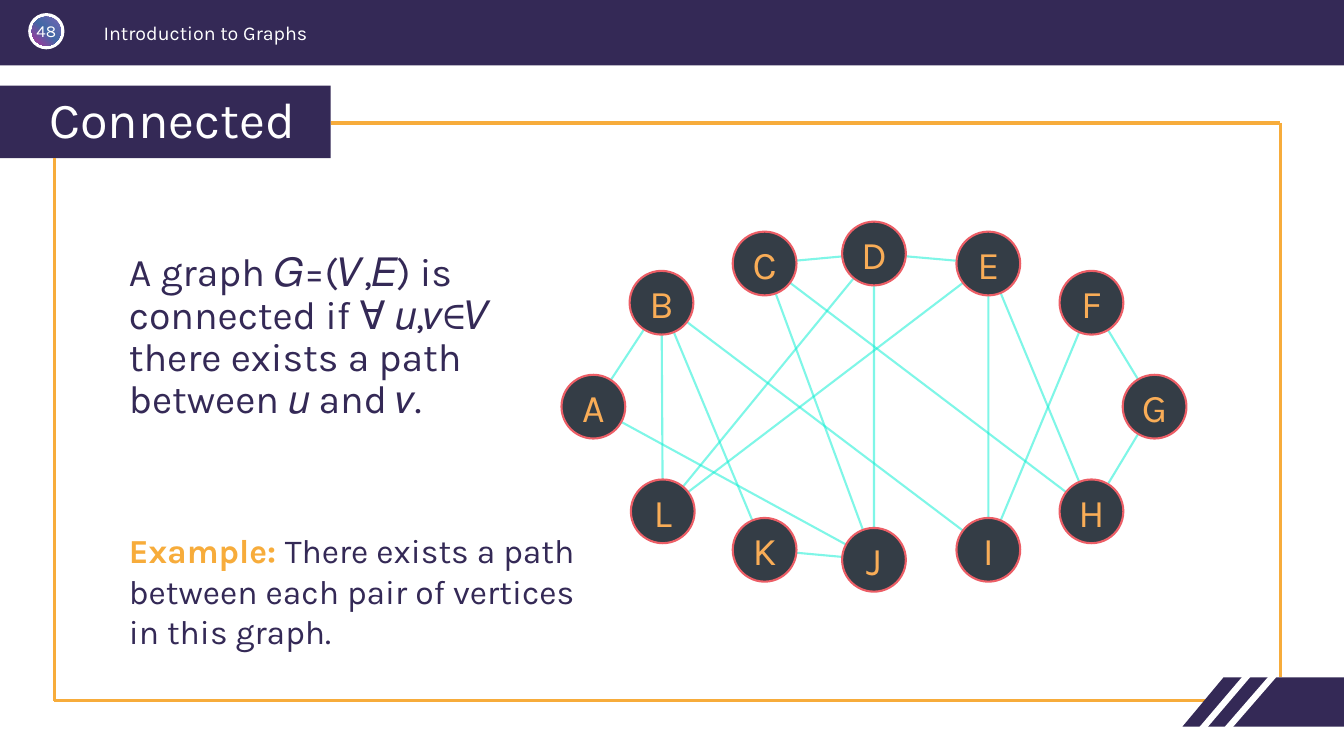
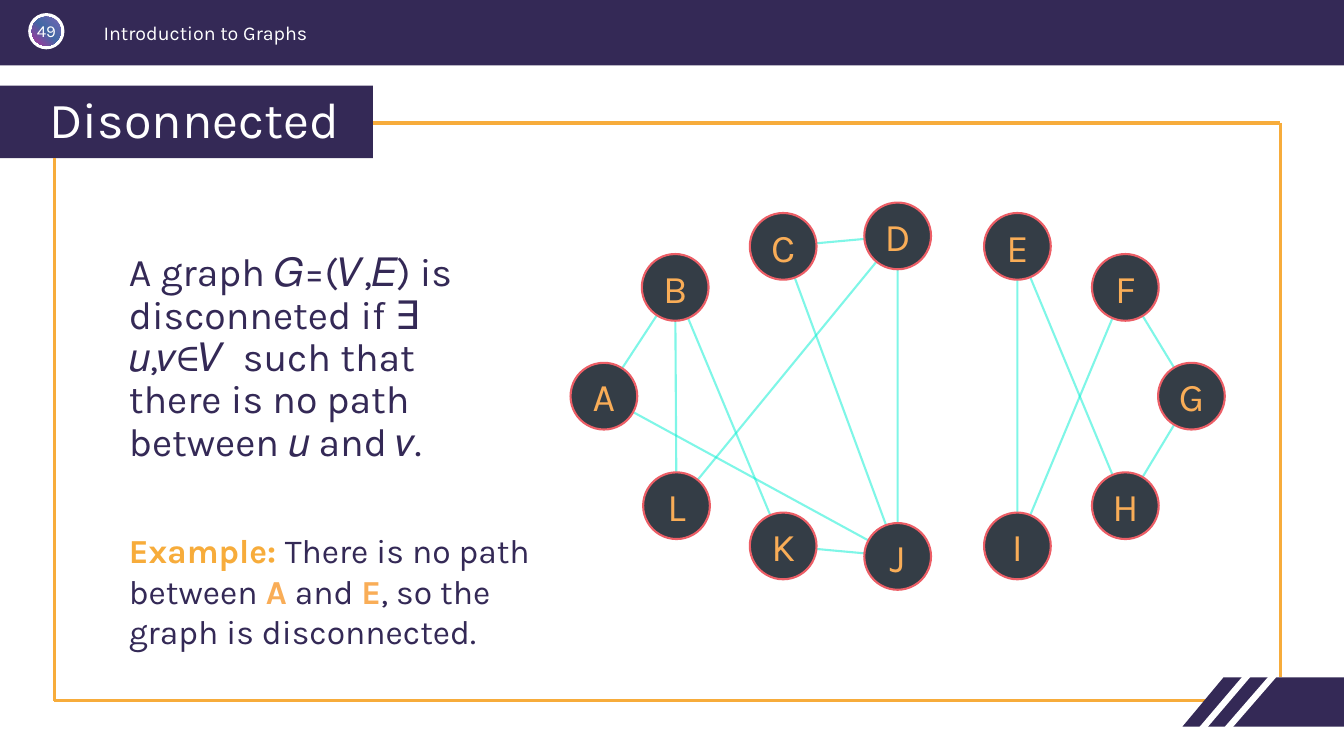
from dataclasses import dataclass

from lxml import etree
from pptx import Presentation
from pptx.dml.color import RGBColor
from pptx.enum.shapes import MSO_CONNECTOR, MSO_SHAPE
from pptx.enum.text import MSO_ANCHOR, MSO_AUTO_SIZE, PP_ALIGN
from pptx.oxml import parse_xml
from pptx.oxml.ns import nsdecls, qn
from pptx.util import Inches, Pt

STRAIGHT = MSO_CONNECTOR.STRAIGHT
RECTANGLE, OVAL = MSO_SHAPE.RECTANGLE, MSO_SHAPE.OVAL
MIDDLE, TOP = MSO_ANCHOR.MIDDLE, MSO_ANCHOR.TOP
LEFT, CENTER = PP_ALIGN.LEFT, PP_ALIGN.CENTER
NO_AUTOFIT = MSO_AUTO_SIZE.NONE
TITLE_ONLY = 5

FONT = "Karla"
NAVY, WHITE, ORANGE = "342956", "FFFFFF", "F7AC3B"
NODE_FILL, NODE_LINE, NODE_TEXT, EDGE = "343D46", "EC5E66", "F9AD57", "00EFD1"
BADGE_STOPS = [(0, "7864B5"), (49, "4269A5"), (100, "B2329A")]

# Node centres, in percent of the graph's box
NODES = {
    "A": (5.1, 50), "B": (16, 21.9), "C": (32.5, 11.3), "D": (50, 8.6),
    "E": (68.3, 11.3), "F": (84.8, 21.9), "G": (94.9, 50), "H": (84.8, 78.3),
    "I": (68.3, 88.7), "J": (50, 91.4), "K": (32.5, 88.7), "L": (16.2, 78.3),
}
NODE_SIZE = 10.2  # percent of the graph's width
SPLIT_EDGES = "AB AJ BK BL CD CJ DJ DL JK EH EI FG FI GH".split()
JOINING_EDGES = "BI CH DE EL".split()


@dataclass
class Box:
    left: int
    top: int
    width: int
    height: int

    def point(self, x, y):
        """Position at x and y percent of this box."""
        return (int(self.left + self.width * x / 100),
                int(self.top + self.height * y / 100))

    def area(self, left, top, width, height):
        """Box inside this one, all lengths in percent."""
        return Box(*self.point(left, top),
                   int(self.width * width / 100), int(self.height * height / 100))

    def edges(self):
        return self.left, self.top, self.width, self.height


PAGE = Box(0, 0, Inches(13.33), Inches(7.5))
TITLE_TOP, TITLE_HEIGHT = 11.33, 9.6
FRAME_LEFT, FRAME_TOP, FRAME_RIGHT, FRAME_BOTTOM = 4.05, 16.27, 95.25, 92.67
CORNER = PAGE.area(87.98, 89.6, 12.02, 6.53)


def color(value):
    return RGBColor.from_string(value)


def paint(shape, fill, line=None):
    shape.shadow.inherit = False
    shape.fill.solid()
    shape.fill.fore_color.rgb = color(fill)
    if line:
        shape.line.color.rgb = color(line)
        shape.line.width = Pt(1.5)
    else:
        shape.line.fill.background()


def add_shape(shapes, kind, box, fill, line=None):
    shape = shapes.add_shape(kind, *box.edges())
    paint(shape, fill, line)
    return shape


def add_line(shapes, start, end, line_color, width, opacity=100):
    connector = shapes.add_connector(STRAIGHT, *start, *end)
    connector.line.color.rgb = color(line_color)
    connector.line.width = Pt(width)
    properties = connector._element.spPr
    if opacity < 100:
        line_paint = properties.find(".//" + qn("a:srgbClr"))
        etree.SubElement(line_paint, qn("a:alpha"), val=str(opacity * 1000))
    etree.SubElement(properties, qn("a:effectLst"))


def write(shape, runs, size, align=LEFT, anchor=TOP, wrap=True):
    """Fill one paragraph with (text, colour, bold) runs."""
    frame = shape.text_frame
    frame.auto_size = NO_AUTOFIT
    frame.word_wrap = wrap
    frame.vertical_anchor = anchor
    paragraph = frame.paragraphs[0]
    paragraph.alignment = align
    for text, text_color, bold in runs:
        run = paragraph.add_run()
        run.text = text
        run.font.name = FONT
        run.font.size = Pt(size)
        run.font.bold = bold
        run.font.color.rgb = color(text_color)
    return paragraph


def add_text(shapes, box, runs, size):
    return write(shapes.add_textbox(*box.edges()), runs, size)


def apply_gradient(shape, stops, angle):
    shape.fill.background()
    stop_xml = "".join(
        f'<a:gs pos="{position * 1000}"><a:srgbClr val="{value}"/></a:gs>'
        for position, value in stops)
    gradient = parse_xml(
        f'<a:gradFill {nsdecls("a")} rotWithShape="1"><a:gsLst>{stop_xml}</a:gsLst>'
        f'<a:lin ang="{angle * 60000}" scaled="0"/></a:gradFill>')
    properties = shape._element.spPr
    properties.replace(properties.find(qn("a:noFill")), gradient)


def add_header(slide, number):
    shapes = slide.shapes
    add_shape(shapes, RECTANGLE, PAGE.area(0, 0, 100, 8.67), NAVY)
    ring = PAGE.area(2.1, 1.73, 2.7, 4.8)
    add_shape(shapes, OVAL, ring, WHITE)
    disc = add_shape(shapes, OVAL, ring.area(10, 10, 80, 80), NAVY)
    apply_gradient(disc, BADGE_STOPS, 135)
    frame = disc.text_frame
    frame.margin_left = frame.margin_right = frame.margin_top = frame.margin_bottom = 0
    write(disc, [(str(number), WHITE, False)], 12, CENTER, MIDDLE, wrap=False)
    add_text(shapes, PAGE.area(6.98, 2.13, 42.08, 4),
             [("Introduction to Graphs", WHITE, False)], 14)


def add_title(slide, text, width):
    title = slide.shapes.title
    box = PAGE.area(0, TITLE_TOP, width, TITLE_HEIGHT)
    title.left, title.top, title.width, title.height = box.edges()
    title.fill.solid()
    title.fill.fore_color.rgb = color(NAVY)
    title.text_frame.margin_left = Inches(0.49)
    paragraph = write(title, [(text, WHITE, False)], 36, anchor=MIDDLE)
    paragraph.line_spacing = 0.9


def add_frame(slide, title_width):
    """Orange outline, open at the title and at the corner mark."""
    lines = [
        ((title_width, FRAME_TOP), (FRAME_RIGHT, FRAME_TOP)),
        ((FRAME_RIGHT, FRAME_TOP), (FRAME_RIGHT, 89.6)),
        ((FRAME_LEFT, TITLE_TOP + TITLE_HEIGHT), (FRAME_LEFT, FRAME_BOTTOM)),
        ((FRAME_LEFT, FRAME_BOTTOM), (90.75, FRAME_BOTTOM)),
    ]
    for start, end in lines:
        add_line(slide.shapes, PAGE.point(*start), PAGE.point(*end), ORANGE, 2.25)


def add_corner(slide, box):
    """Slanted mark with two white stripes."""
    builder = slide.shapes.build_freeform(*box.point(25.5, 0))
    builder.add_line_segments(
        [box.point(100, 0), box.point(100, 100), box.point(0, 100)], close=True)
    paint(builder.convert_to_shape(), NAVY)
    for start, end in [((7.5, 122), (45, -22)), ((23, 122), (57.5, -8))]:
        add_line(slide.shapes, box.point(*start), box.point(*end), WHITE, 4.5)


def add_graph(slide, box, edges):
    shapes = slide.shapes.add_group_shape().shapes
    for first, second in edges:
        add_line(shapes, box.point(*NODES[first]), box.point(*NODES[second]),
                 EDGE, 1.5, opacity=50)
    size = int(box.width * NODE_SIZE / 100)
    for name, position in NODES.items():
        x, y = box.point(*position)
        circle = Box(x - size // 2, y - size // 2, size, size)
        node = add_shape(shapes, OVAL, circle, NODE_FILL, NODE_LINE)
        node.text_frame.margin_left = node.text_frame.margin_right = 0
        write(node, [(name, NODE_TEXT, False)], 28, CENTER, MIDDLE)


def add_graph_slide(presentation, number, title, title_width, definition,
                    example, graph_box, edges):
    slide = presentation.slides.add_slide(presentation.slide_layouts[TITLE_ONLY])
    add_header(slide, number)
    add_title(slide, title, title_width)
    add_frame(slide, title_width)
    add_corner(slide, CORNER)
    paragraph = add_text(slide.shapes, PAGE.area(8.85, 32.8, 29.1, 24.8),
                         [(definition, NAVY, False)], 28)
    paragraph.line_spacing = 0.9
    paragraph.space_before = Pt(10)
    add_text(slide.shapes, PAGE.area(8.85, 69.47, 35.63, 17.47),
             [("Example: ", ORANGE, True)] + example, 24)
    add_graph(slide, graph_box, edges)


def main():
    presentation = Presentation()
    presentation.slide_width, presentation.slide_height = PAGE.width, PAGE.height
    add_graph_slide(
        presentation, 48, "Connected", 24.6,
        "A graph 𝐺=(𝑉,𝐸) is connected if ∀ 𝑢,𝑣∈𝑉 there exists a path between 𝑢 and 𝑣.",
        [("There exists a path between each pair of vertices in this graph.", NAVY, False)],
        PAGE.area(41.78, 29.33, 46.5, 48.93), SPLIT_EDGES + JOINING_EDGES)
    add_graph_slide(
        presentation, 49, "Disonnected", 27.75,
        "A graph 𝐺=(𝑉,𝐸) is disconneted if ∃ 𝑢,𝑣∈𝑉  such that there is no path "
        "between 𝑢 and 𝑣.",
        [("There is no path between ", NAVY, False), ("A", NODE_TEXT, True),
         (" and ", NAVY, False), ("E", NODE_TEXT, True),
         (", so the graph is disconnected.", NAVY, False)],
        PAGE.area(42.45, 26.8, 48.68, 51.2), SPLIT_EDGES)
    presentation.save("out.pptx")


if __name__ == "__main__":
    main()
